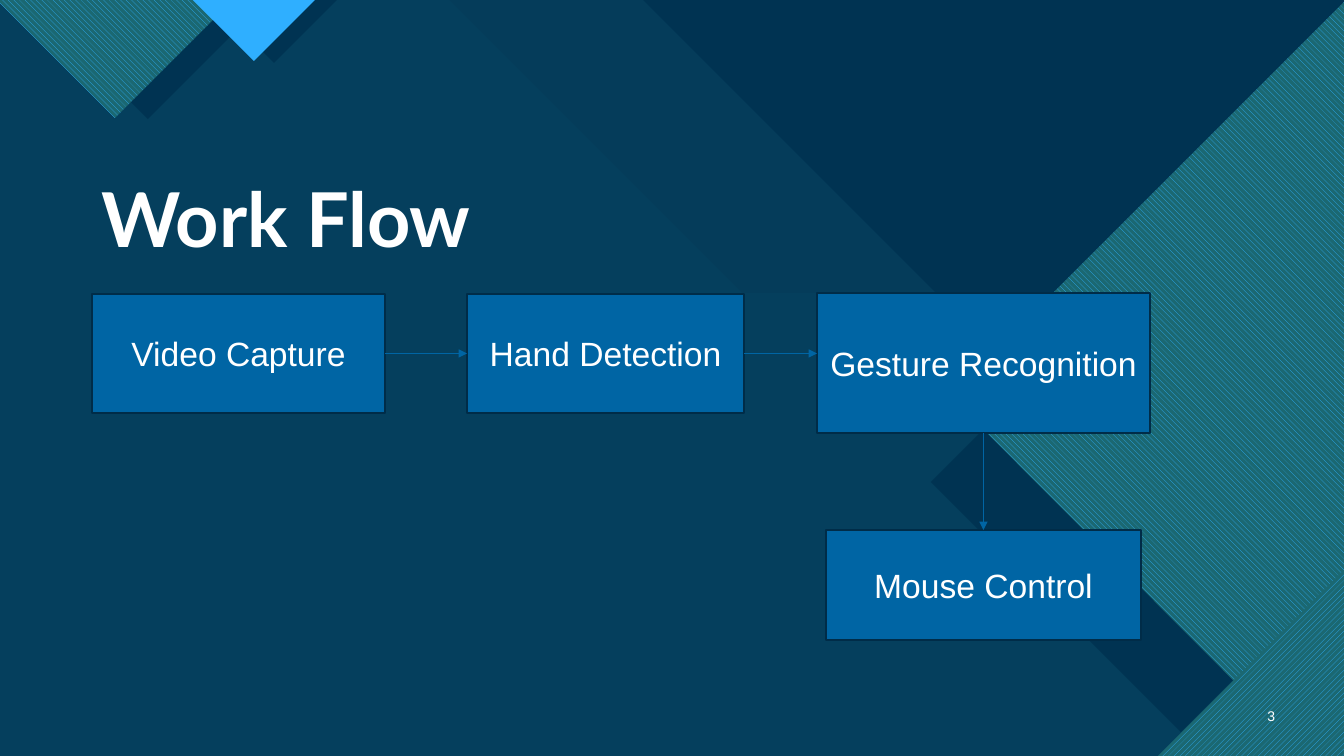
from lxml import etree
from pptx import Presentation
from pptx.dml.color import RGBColor
from pptx.enum import dml, shapes, text
from pptx.oxml import ns
from pptx.util import Pt

PX = 914400 / 100.8
NAVY, BLUE, SKY, TEAL, WHITE = "003352", "0065A4", "2FAFFF", "1B6872", "FFFFFF"
DOWN = dml.MSO_PATTERN.WIDE_DOWNWARD_DIAGONAL
UP = dml.MSO_PATTERN.WIDE_UPWARD_DIAGONAL


def px(*nums):
    return [round(n * PX) for n in nums]


def paint(fill, fore, back=None, stripe=DOWN):
    """Fill with one colour, or with diagonal stripes when back is given."""
    if back:
        fill.patterned()
        fill.pattern = stripe
        fill.back_color.rgb = RGBColor.from_string(back)
    else:
        fill.solid()
    fill.fore_color.rgb = RGBColor.from_string(fore)


deck = Presentation()
deck.slide_width, deck.slide_height = px(1344, 756)
slide = deck.slides.add_slide(deck.slide_layouts[5])
tree = slide.shapes
paint(slide.background.fill, "06415F", "053F5D")

# Backdrop, from back to front
decor = [
    ([(450, 0), (643, 0), (938, 293), (743, 293)], "053C5A", None, None),
    ([(643, 0), (1344, 0), (1344, 701)], NAVY, None, None),
    ([(931, 482), (984, 429), (1233, 680), (1181, 732)], NAVY, None, None),
    ([(1344, 2), (950, 396), (1234, 681), (1344, 572)], SKY, TEAL, DOWN),
    ([(1158, 756), (1344, 756), (1344, 570)], SKY, TEAL, UP),
    ([(29, 0), (267, 0), (148, 119)], NAVY, None, None),
    ([(-3, 0), (233, 0), (115, 118)], SKY, TEAL, DOWN),
    ([(211, 0), (337, 0), (274, 63)], NAVY, None, None),
    ([(193, 0), (315, 0), (254, 61)], SKY, None, None),
]
for points, fore, back, stripe in decor:
    pen = tree.build_freeform(*points[0], scale=PX)
    pen.add_line_segments(points[1:], close=True)
    form = pen.convert_to_shape()
    form.shadow.inherit = False
    form.line.fill.background()
    paint(form.fill, fore, back, stripe)

# Title, lifted above the backdrop
title = tree.title
tree._spTree.append(title._element)
title.left, title.top, title.width, title.height = px(91, 149, 858, 120)
title.text_frame.text = "Work Flow"
title.text_frame.vertical_anchor = text.MSO_ANCHOR.BOTTOM
head = title.text_frame.paragraphs[0]
head.alignment = text.PP_ALIGN.LEFT
head.line_spacing = 0.9
head.font.name, head.font.size, head.font.bold = "Lato", Pt(54), True
head.font.color.rgb = RGBColor.from_string(WHITE)

# Steps and page number
labels = [
    ("Video Capture", (92, 294, 293, 119), 24),
    ("Hand Detection", (467, 294, 277, 119), 24),
    ("Gesture Recognition", (817, 293, 333, 140), 24),
    ("Mouse Control", (826, 530, 315, 110), 24),
    ("3", (1241, 696, 44, 40), 10),
]
steps = []
for label, area, size in labels:
    if label == "3":
        box = tree.add_textbox(*px(*area))
    else:
        box = tree.add_shape(shapes.MSO_SHAPE.RECTANGLE, *px(*area))
        box.shadow.inherit = False
        paint(box.fill, BLUE)
        paint(box.line.fill, "002C48")
        box.line.width = Pt(1)
        steps.append(box)
    frame = box.text_frame
    frame.word_wrap = True
    frame.vertical_anchor = text.MSO_ANCHOR.MIDDLE
    frame.text = label
    para = frame.paragraphs[0]
    para.alignment = text.PP_ALIGN.RIGHT if label == "3" else text.PP_ALIGN.CENTER
    para.font.name, para.font.size = "Arial", Pt(size)
    para.font.color.rgb = RGBColor.from_string(WHITE)

# Arrows; the second meets the taller box above its middle
video, hand, gesture, mouse = steps
arrows = [
    ((385, 354, 467, 354), video, 3, hand, 1),
    ((744, 354, 817, 354), hand, 3, None, None),
    ((983, 433, 983, 530), gesture, 2, mouse, 0),
]
for ends, start, out, goal, into in arrows:
    arrow = tree.add_connector(shapes.MSO_CONNECTOR.STRAIGHT, *px(*ends))
    arrow.begin_connect(start, out)
    if goal:
        arrow.end_connect(goal, into)
    else:
        arrow.end_y = arrow.begin_y
    paint(arrow.line.fill, BLUE)
    arrow.line.width = Pt(0.5)
    etree.SubElement(arrow.line._get_or_add_ln(), ns.qn("a:tailEnd"), type="triangle")
    etree.SubElement(arrow._element.spPr, ns.qn("a:effectLst"))

deck.save("out.pptx")
